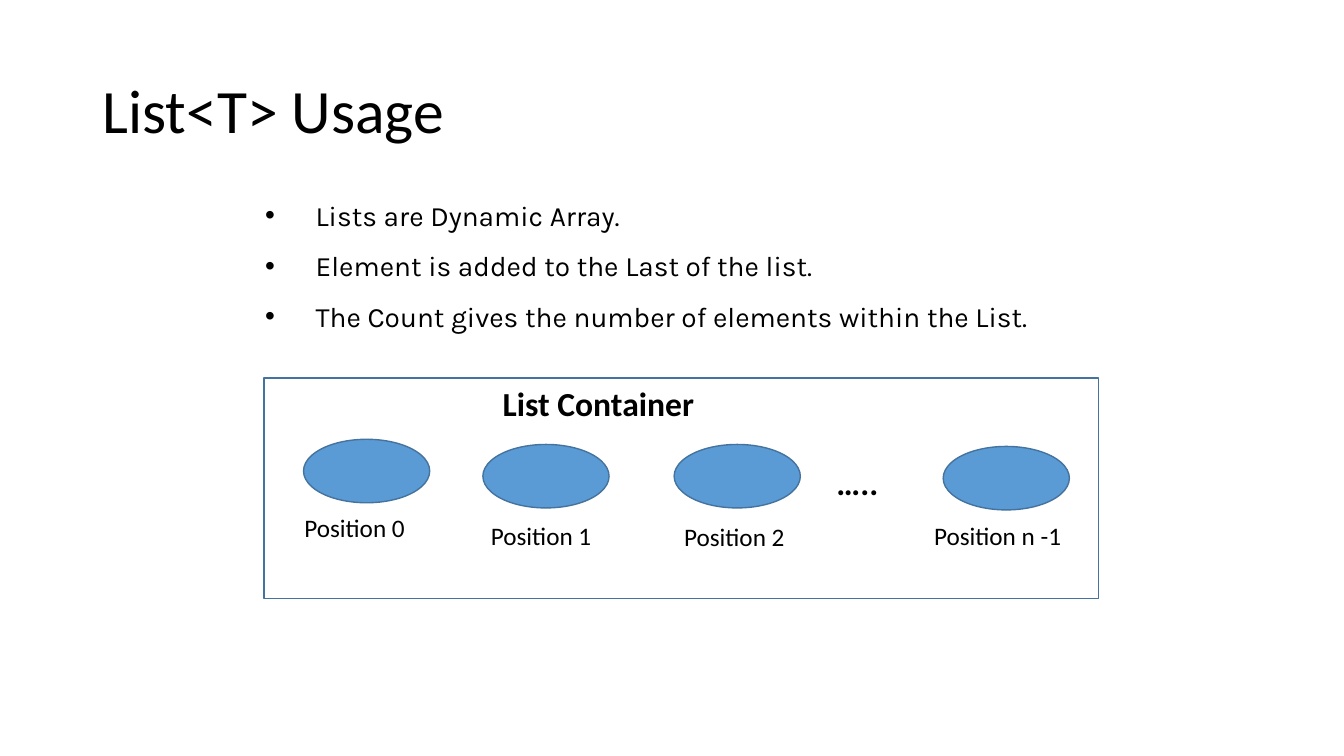
"""Build the List<T> usage slide."""
from lxml import etree
from pptx import Presentation
from pptx.dml.color import RGBColor
from pptx.enum.shapes import MSO_SHAPE
from pptx.enum.text import MSO_ANCHOR, MSO_AUTO_SIZE, PP_ALIGN
from pptx.oxml.ns import qn
from pptx.util import Cm, Pt

RECT, OVAL = MSO_SHAPE.RECTANGLE, MSO_SHAPE.OVAL
TOP, MIDDLE = MSO_ANCHOR.TOP, MSO_ANCHOR.MIDDLE
FIXED = MSO_AUTO_SIZE.NONE
LEFT = PP_ALIGN.LEFT
BLACK = RGBColor(0x00, 0x00, 0x00)
BLUE = RGBColor(0x5B, 0x9B, 0xD5)
EDGE = RGBColor(0x43, 0x73, 0x9E)

TITLE = "List<T> Usage"
POINTS = [
    "Lists are Dynamic Array.",
    "Element is added to the Last of the list.",
    "The Count gives the number of elements within the List.",
]
FRAME = (6.65, 9.53, 21.03, 5.56)
OVAL_SIZE = (3.18, 1.6)
ITEMS = [
    ("Position 0", (7.65, 11.07), (7.42, 12.78, 3.76, 1.02)),
    ("Position 1", (12.17, 11.2), (12.12, 12.98, 3.76, 1.02)),
    ("Position 2", (16.99, 11.2), (16.99, 13.0, 3.76, 1.02)),
    ("Position n -1", (23.77, 11.25), (23.29, 12.98, 4.17, 1.02)),
]
HEADS = [
    ("…..", (20.83, 11.51, 2.39, 1.27)),
    ("List Container", (12.42, 9.53, 7.34, 1.27)),
]


def place(shape, box):
    """Move and size a shape in centimetres."""
    shape.left, shape.top, shape.width, shape.height = map(Cm, box)


def write(shape, lines, size, font="Calibri", bold=False, space=1.0,
          anchor=TOP, bullet=False):
    """Fill a shape with formatted paragraphs."""
    frame = shape.text_frame
    frame.word_wrap = True
    frame.auto_size = FIXED
    frame.vertical_anchor = anchor
    frame.text = "\n".join(lines)
    for para in frame.paragraphs:
        para.alignment = LEFT
        para.line_spacing = space
        para.space_before = Pt(0)
        face = para.runs[0].font
        face.name, face.size, face.bold = font, Pt(size), bold
        face.color.rgb = BLACK
        if bullet:
            props = para._p.get_or_add_pPr()
            props.set("marL", str(Cm(1.27)))
            props.set("indent", str(-Cm(1.27)))
            etree.SubElement(props, qn("a:buFont")).set("typeface", "Arial")
            etree.SubElement(props, qn("a:buChar")).set("char", "•")


def draw(slide, kind, box, fill=None):
    """Add an outlined shape."""
    shape = slide.shapes.add_shape(kind, *map(Cm, box))
    shape.shadow.inherit = False
    if fill is None:
        shape.fill.background()
    else:
        shape.fill.solid()
        shape.fill.fore_color.rgb = fill
    shape.line.color.rgb = EDGE
    shape.line.width = Pt(1)


def label(slide, text, box, size, **style):
    """Add a text box."""
    write(slide.shapes.add_textbox(*map(Cm, box)), [text], size, **style)


def main():
    """Build and save the slide."""
    deck = Presentation()
    deck.slide_width, deck.slide_height = Cm(33.87), Cm(19.05)
    slide = deck.slides.add_slide(deck.slide_layouts[1])
    title, body = slide.placeholders
    place(title, (2.33, 1.02, 29.21, 3.68))
    write(title, [TITLE], 44, space=0.9, anchor=MIDDLE)
    place(body, (6.43, 4.45, 21.51, 4.11))
    write(body, POINTS, 20, font="Karla", space=1.5, bullet=True)
    draw(slide, RECT, FRAME)
    for text, spot, box in ITEMS:
        draw(slide, OVAL, spot + OVAL_SIZE, BLUE)
        label(slide, text, box, 18)
    for text, box in HEADS:
        label(slide, text, box, 24, bold=True)
    deck.save("out.pptx")


if __name__ == "__main__":
    main()
